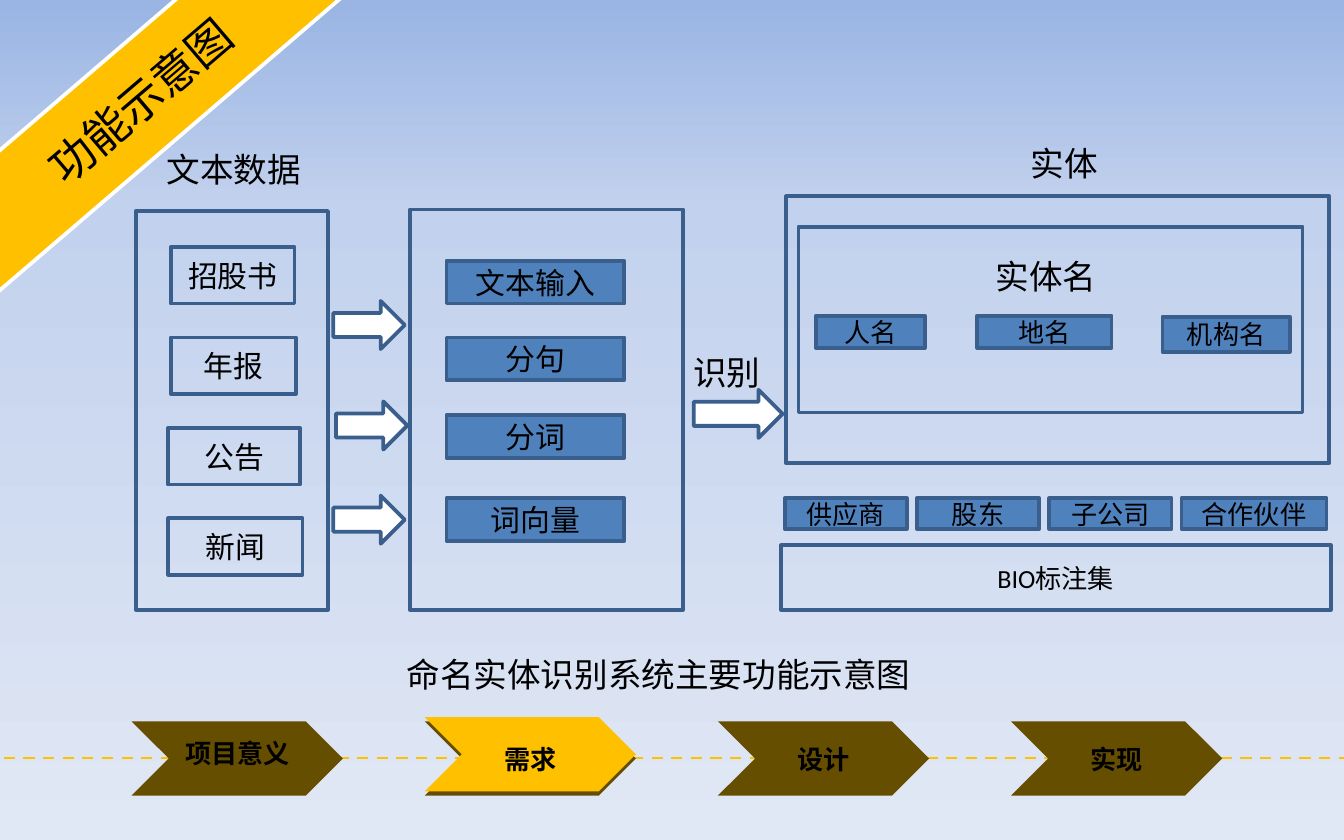
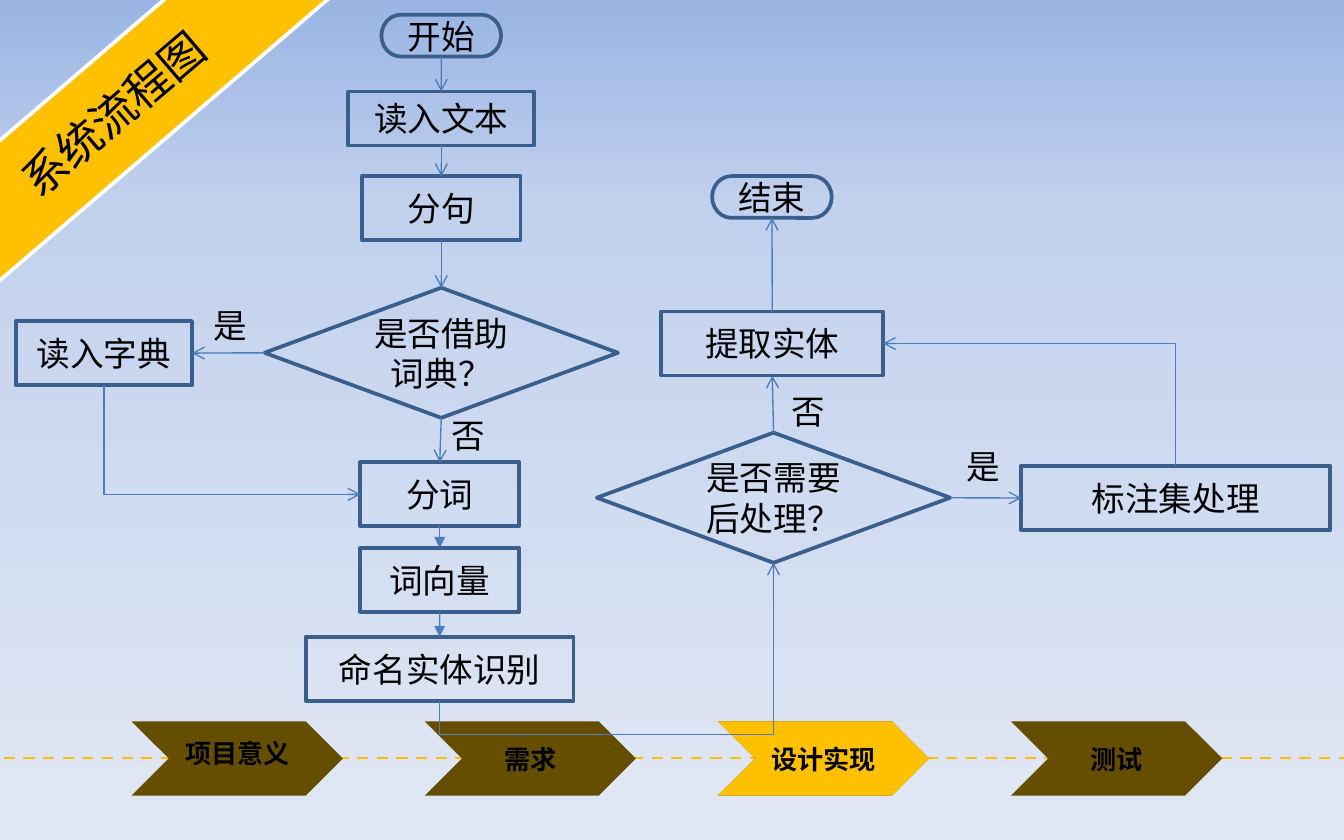
"""Build two slides on an entity recognition system: its functions and its flow."""
from copy import deepcopy
from dataclasses import dataclass
from typing import NamedTuple

from lxml.etree import SubElement
from pptx import Presentation
from pptx.dml.color import RGBColor
from pptx.enum.dml import MSO_LINE
from pptx.enum.shapes import MSO_CONNECTOR, MSO_SHAPE
from pptx.enum.text import MSO_ANCHOR, MSO_AUTO_SIZE, PP_ALIGN
from pptx.oxml.ns import qn
from pptx.util import Cm, Pt

GOLD = RGBColor(0xFF, 0xC0, 0x00)
BROWN = RGBColor(0x66, 0x4E, 0x00)
WHITE = RGBColor(0xFF, 0xFF, 0xFF)
BLACK = RGBColor(0x00, 0x00, 0x00)
BLUE = RGBColor(0x4F, 0x81, 0xBD)
NAVY = RGBColor(0x3A, 0x5F, 0x8C)
STEEL = RGBColor(0x4B, 0x7E, 0xBC)
SKY = [(0, RGBColor(0x9A, 0xB5, 0xE4)), (0.25, RGBColor(0xC2, 0xD1, 0xED)),
       (1, RGBColor(0xE1, 0xE8, 0xF5))]

HEAD = {"name": "Noto Sans CJK SC", "size": Pt(24), "bold": False}
STAGE = {"name": "Noto Sans CJK SC", "size": Pt(14), "bold": True}
BIG = {"name": "Calibri", "size": Pt(18)}
MID = {"name": "Calibri", "size": Pt(16)}
SMALL = {"name": "Calibri", "size": Pt(14)}
INSIDE = {"word_wrap": True, "vertical_anchor": MSO_ANCHOR.MIDDLE,
          "auto_size": MSO_AUTO_SIZE.NONE}
GROW = {"word_wrap": True, "auto_size": MSO_AUTO_SIZE.SHAPE_TO_FIT_TEXT}

RECT = MSO_SHAPE.RECTANGLE
ARROW = MSO_SHAPE.RIGHT_ARROW
STEP = MSO_SHAPE.FLOWCHART_PROCESS
TEST = MSO_SHAPE.FLOWCHART_DECISION
CAP = MSO_SHAPE.FLOWCHART_TERMINATOR
TOP, LEFT, BOTTOM, RIGHT = range(4)


@dataclass
class Box:
    """A preset shape, in centimetres, with optional text."""
    text: str
    x: float
    y: float
    w: float
    h: float
    kind: MSO_SHAPE = RECT
    font: dict | None = None
    fill: RGBColor | None = None
    edge: RGBColor | None = NAVY


class Note(NamedTuple):
    """A free label, in centimetres."""
    text: str
    x: float
    y: float
    w: float
    align: PP_ALIGN | None = None


class Bend(NamedTuple):
    """The form of an elbow that is turned by a quarter."""
    kind: str
    turn: int
    flips: tuple[str, ...]
    adj: int | None = None


class Link(NamedTuple):
    """An arrow between the sides of two named shapes."""
    start: str
    out: int
    end: str
    into: int
    head: str = "arrow"
    bend: Bend | None = None


def dress(item, values: dict) -> None:
    """Set each format value on the item."""
    for name, value in values.items():
        setattr(item, name, value)


def place(shape, x: float, y: float, w: float, h: float) -> None:
    """Move and size a shape in centimetres."""
    dress(shape, {"left": Cm(x), "top": Cm(y), "width": Cm(w), "height": Cm(h)})


def write(shape, text: str, font: dict, frame: dict, align: PP_ALIGN | None) -> None:
    """Fill a shape with one formatted paragraph."""
    dress(shape.text_frame, frame)
    line = shape.text_frame.paragraphs[0]
    line.alignment = align
    run = line.add_run()
    run.text = text
    dress(run.font, font)
    run.font.color.rgb = BLACK


def paint(shape, fill: RGBColor | None, edge: RGBColor | None) -> None:
    """Set the fill and the outline, and take off the shadow."""
    shape.shadow.inherit = False
    for part, color in ((shape.fill, fill), (shape.line.fill, edge)):
        if color is None:
            part.background()
        else:
            part.solid()
            part.fore_color.rgb = color
    if edge is not None:
        shape.line.width = Pt(2)


def draw(slide, box: Box):
    """Draw one box."""
    shape = slide.shapes.add_shape(box.kind, Cm(box.x), Cm(box.y), Cm(box.w), Cm(box.h))
    paint(shape, box.fill, box.edge)
    if box.text:
        write(shape, box.text, box.font, INSIDE, PP_ALIGN.CENTER)
    return shape


def label(slide, note: Note, font: dict = BIG, high: float = 1.02, wrap: bool = True) -> None:
    """Draw one free label."""
    shape = slide.shapes.add_textbox(Cm(note.x), Cm(note.y), Cm(note.w), Cm(high))
    write(shape, note.text, font, GROW | {"word_wrap": wrap}, note.align)


def stroke(line, color: RGBColor, width: float, head: str = "") -> None:
    """Format a connector and take off its shadow."""
    line.line.color.rgb = color
    line.line.width = Pt(width)
    props = line.element.spPr
    if head:
        SubElement(props.find(qn("a:ln")), qn("a:tailEnd")).set("type", head)
    SubElement(props, qn("a:effectLst"))


def site(shape, side: int) -> tuple[int, int]:
    """Give the middle of one side of a shape."""
    across = {LEFT: 0, RIGHT: shape.width}.get(side, shape.width // 2)
    down = {TOP: 0, BOTTOM: shape.height}.get(side, shape.height // 2)
    return shape.left + across, shape.top + down


def turn(line, bend: Bend) -> None:
    """Rotate and flip an elbow and set its preset."""
    props = line.element.spPr
    frame = props.find(qn("a:xfrm"))
    frame.set("rot", str(bend.turn * 60000))
    for flip in bend.flips:
        frame.set(flip, "1")
    form = props.find(qn("a:prstGeom"))
    form.set("prst", bend.kind)
    if bend.adj is not None:
        guide = SubElement(form.find(qn("a:avLst")), qn("a:gd"))
        guide.set("name", "adj1")
        guide.set("fmla", f"val {bend.adj}")


def join(slide, nodes: dict, link: Link) -> None:
    """Draw one arrow between two nodes."""
    first, last = nodes[link.start], nodes[link.end]
    (x1, y1), (x2, y2) = site(first, link.out), site(last, link.into)
    if link.bend:
        w, h = abs(y2 - y1), abs(x2 - x1)
        x, y = (x1 + x2 - w) // 2, (y1 + y2 - h) // 2
        line = slide.shapes.add_connector(MSO_CONNECTOR.ELBOW, x, y, x + w, y + h)
        turn(line, link.bend)
    else:
        line = slide.shapes.add_connector(MSO_CONNECTOR.STRAIGHT, x1, y1, x2, y2)
        line.begin_connect(first, link.out)
        line.end_connect(last, link.into)
    stroke(line, STEEL, 0.75, link.head)


def tint(deck) -> None:
    """Give the master its sky gradient."""
    master = deck.slide_master
    fill = master.background.fill
    fill.gradient()
    fill.gradient_angle = 270
    stops = master.element.find(".//" + qn("a:gsLst"))
    stops.append(deepcopy(stops[0]))
    for stop, (spot, color) in zip(fill.gradient_stops, SKY):
        stop.position = spot
        stop.color.rgb = color


def start(deck, title: str, x: float, y: float, stages: list[str], now: int, lift: float = 0):
    """Add a slide with its ribbon title and its row of stages."""
    slide = deck.slides.add_slide(deck.slide_layouts[5])
    ribbon = slide.shapes.title
    place(ribbon, x, y, 10.01, 2.01)
    ribbon.rotation = 319.4
    paint(ribbon, GOLD, WHITE)
    write(ribbon, title, HEAD, INSIDE, PP_ALIGN.CENTER)

    rail = slide.shapes.add_connector(
        MSO_CONNECTOR.STRAIGHT, Cm(-0.3), Cm(14.33), Cm(25.81), Cm(14.33))
    rail.line.dash_style = MSO_LINE.DASH
    stroke(rail, GOLD, 1.5)

    lefts = [2.49 + 5.54 * i for i in range(len(stages))]
    marks = [(left, 13.64, BROWN) for left in lefts] + [(lefts[now], 13.64 - lift, GOLD)]
    for left, top, color in marks:
        draw(slide, Box("", left, top, 3.99, 1.4, MSO_SHAPE.CHEVRON, fill=color, edge=None))
    for i, (left, text) in enumerate(zip(lefts, stages)):
        wide = 0.5 + 0.5 * len(text)
        note = Note(text, left + 2 - wide / 2, 13.92 if i else 13.82, wide, PP_ALIGN.CENTER)
        label(slide, note, STAGE, 0.86, False)
    return slide


def outline(deck) -> None:
    """Build the slide of functions."""
    slide = start(deck, "功能示意图", -2.36, 0.89,
                  ["项目意义", "需求", "设计", "实现"], 1, 0.08)
    panels = [Box("", 2.57, 3.99, 3.63, 7.54), Box("", 7.75, 3.96, 5.16, 7.57),
              Box("", 14.86, 3.71, 10.26, 5.05), Box("", 15.09, 4.29, 9.53, 3.51),
              Box("BIO标注集", 14.76, 10.31, 10.39, 1.22, font=SMALL)]
    papers = [("招股书", 3.23, 2.34), ("年报", 3.23, 2.36),
              ("公告", 3.18, 2.49), ("新闻", 3.18, 2.54)]
    docs = [Box(text, x, 4.67 + 1.71 * i, w, 1.07, font=MID)
            for i, (text, x, w) in enumerate(papers)]
    steps = [Box(text, 8.44, y, 3.36, 0.81, font=MID, fill=BLUE)
             for text, y in (("文本输入", 4.93), ("分句", 6.38),
                             ("分词", 7.85), ("词向量", 9.42))]
    names = [Box(text, x, y, w, h, font=SMALL, fill=BLUE) for text, x, y, w, h in (
        ("人名", 15.42, 5.97, 2.06, 0.61), ("地名", 18.47, 5.97, 2.54, 0.61),
        ("机构名", 21.97, 5.99, 2.41, 0.66))]
    ties = [Box(text, 14.83 + 2.5 * i, 9.42, w, 0.58, font=SMALL, fill=BLUE)
            for i, (text, w) in enumerate((("供应商", 2.31), ("股东", 2.31),
                                           ("子公司", 2.31), ("合作伙伴", 2.74)))]
    arrows = [Box("", x, y, w, 0.91, ARROW, fill=WHITE) for x, y, w in (
        (6.3, 5.69, 1.35), (6.35, 7.59, 1.35), (6.3, 9.37, 1.35), (13.11, 7.37, 1.68))]
    for box in panels + docs + steps + names + ties + arrows:
        draw(slide, box)
    for note in (Note("命名实体识别系统主要功能示意图", 7.16, 12.24, 10.57, PP_ALIGN.CENTER),
                 Note("文本数据", 2.9, 2.69, 3.2), Note("识别", 12.85, 6.53, 2.01),
                 Note("实体", 19.23, 2.57, 2.01), Note("实体名", 18.57, 4.72, 2.49)):
        label(slide, note)


def flow(deck) -> None:
    """Build the slide of the process flow."""
    slide = start(deck, "系统流程图", -2.87, 1.14,
                  ["项目意义", "需求", "设计实现", "测试"], 2)
    boxes = [
        Box("开始", 7.21, 0.28, 2.26, 0.79, CAP, BIG),
        Box("读入文本", 6.58, 1.73, 3.52, 1.02, STEP, BIG),
        Box("分句", 6.84, 3.33, 3, 1.21, STEP, BIG),
        Box("是否借助词典？", 5, 5.44, 6.68, 2.46, TEST, BIG),
        Box("读入字典", 0.3, 6.07, 3.33, 1.21, STEP, BIG),
        Box("分词", 6.81, 8.74, 3, 1.21, STEP, BIG),
        Box("词向量", 6.81, 10.36, 3, 1.21, STEP, BIG),
        Box("命名实体识别", 5.78, 12.04, 5.06, 1.21, STEP, BIG),
        Box("是否需要后处理？", 11.28, 8.18, 6.68, 2.46, TEST, BIG),
        Box("标注集处理", 19.3, 8.81, 5.84, 1.21, STEP, BIG),
        Box("提取实体", 12.5, 5.89, 4.19, 1.21, STEP, BIG),
        Box("结束", 13.46, 3.33, 2.26, 0.79, CAP, BIG)]
    nodes = {box.text: draw(slide, box) for box in boxes}
    links = [
        Link("开始", BOTTOM, "读入文本", TOP),
        Link("读入文本", BOTTOM, "分句", TOP),
        Link("分句", BOTTOM, "是否借助词典？", TOP),
        Link("是否借助词典？", BOTTOM, "分词", TOP),
        Link("是否借助词典？", LEFT, "读入字典", RIGHT),
        Link("读入字典", BOTTOM, "分词", LEFT,
             bend=Bend("bentConnector2", 270, ("flipH",))),
        Link("分词", BOTTOM, "词向量", TOP, "triangle"),
        Link("词向量", BOTTOM, "命名实体识别", TOP, "triangle"),
        Link("命名实体识别", BOTTOM, "是否需要后处理？", BOTTOM,
             bend=Bend("bentConnector3", 90, ("flipH", "flipV"), -24500)),
        Link("是否需要后处理？", RIGHT, "标注集处理", LEFT),
        Link("标注集处理", TOP, "提取实体", RIGHT,
             bend=Bend("bentConnector2", 270, ("flipV",))),
        Link("是否需要后处理？", TOP, "提取实体", BOTTOM),
        Link("提取实体", TOP, "结束", BOTTOM)]
    for link in links:
        join(slide, nodes, link)
    for note in (Note("是", 3.78, 5.64, 1.09), Note("否", 8.28, 7.72, 0.94),
                 Note("是", 18.01, 8.31, 1.09), Note("否", 14.71, 7.26, 1.09)):
        label(slide, note)


def main() -> None:
    """Build and save the deck."""
    deck = Presentation()
    dress(deck, {"slide_width": Cm(25.4), "slide_height": Cm(15.88)})
    tint(deck)
    outline(deck)
    flow(deck)
    deck.save("out.pptx")


if __name__ == "__main__":
    main()
